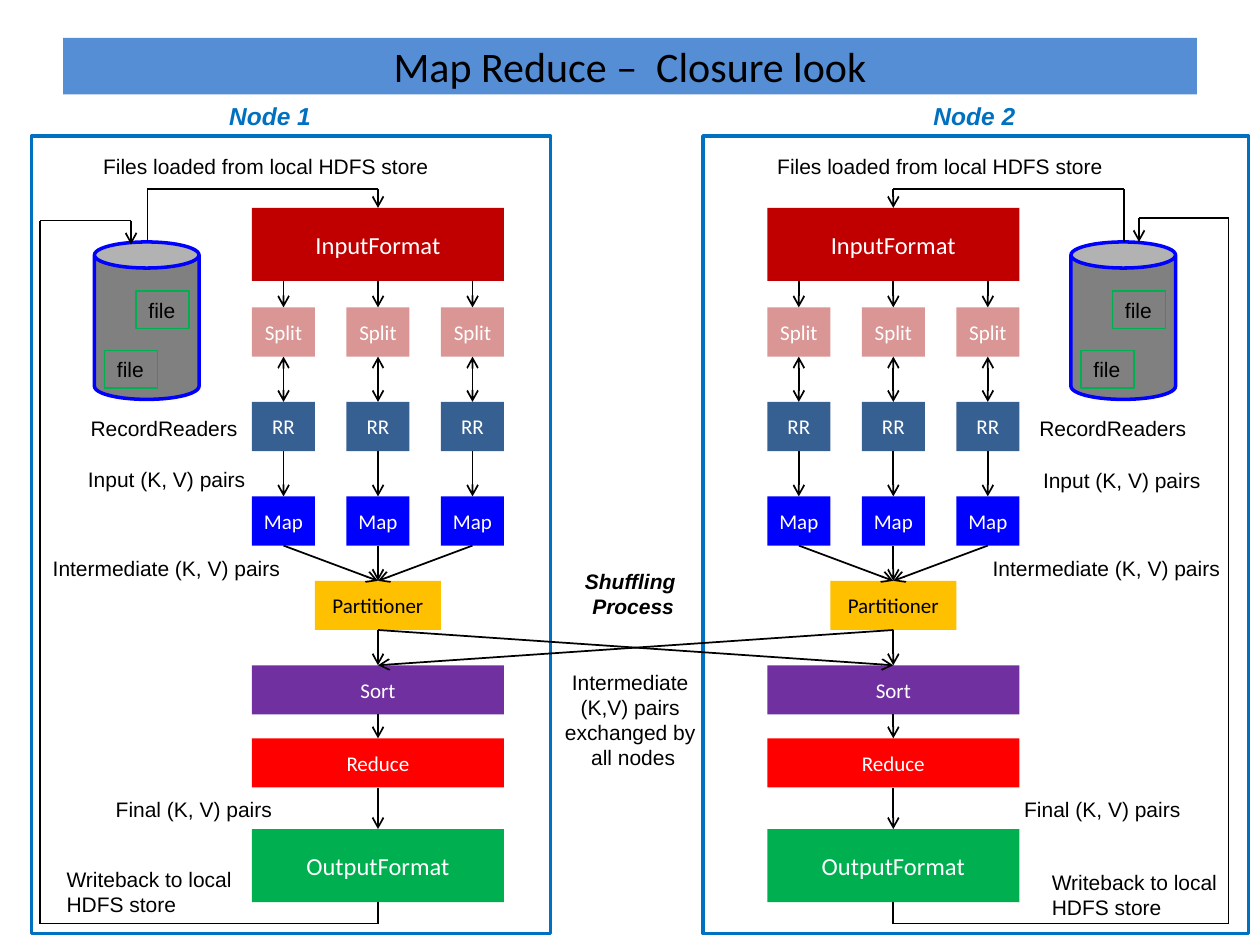
from dataclasses import dataclass

from lxml.etree import SubElement
from pptx import Presentation
from pptx.dml.color import RGBColor
from pptx.enum.shapes import MSO_CONNECTOR, MSO_SHAPE
from pptx.enum.text import MSO_ANCHOR, MSO_AUTO_SIZE, PP_ALIGN
from pptx.oxml.ns import qn
from pptx.slide import Slide
from pptx.util import Emu, Pt

PX = 9144  # EMU per px, 100 px to the inch


def px(*lengths):
    return [Emu(n * PX) for n in lengths]


def rgb(hex_color):
    return RGBColor.from_string(hex_color)


def write(p, text, size=12, font="Arial", color="000000", strong=False,
          align=PP_ALIGN.LEFT, before=0):
    """Fill one paragraph; strong means bold italic, \\v is a line break."""
    p.text = text
    p.alignment = align
    p.space_before = Pt(before)
    for r in p.runs:
        r.font.size, r.font.name = Pt(size), font
        r.font.bold = r.font.italic = strong
        r.font.color.rgb = rgb(color)


@dataclass
class Diagram:
    slide: Slide
    box_font: str = "Calibri"
    line_color: str = "000000"
    line_width: float = 1

    def title(self, text, x, y, w, h, fill):
        sp = self.slide.shapes.title
        sp.left, sp.top, sp.width, sp.height = px(x, y, w, h)
        sp.fill.solid()
        sp.fill.fore_color.rgb = rgb(fill)
        tf = sp.text_frame
        tf.auto_size = MSO_AUTO_SIZE.NONE
        tf.vertical_anchor = MSO_ANCHOR.MIDDLE
        write(tf.paragraphs[0], text, size=24, font=self.box_font, align=PP_ALIGN.CENTER)

    def shape(self, x, y, w, h, fill=None, line=None, width=1, kind=MSO_SHAPE.RECTANGLE):
        sp = self.slide.shapes.add_shape(kind, *px(x, y, w, h))
        sp.shadow.inherit = False
        if fill:
            sp.fill.solid()
            sp.fill.fore_color.rgb = rgb(fill)
        else:
            sp.fill.background()
        if line:
            sp.line.color.rgb = rgb(line)
            sp.line.width = Pt(width)
        else:
            sp.line.fill.background()
        return sp

    def box(self, text, x, y, w, h, fill, size=12, color="FFFFFF"):
        tf = self.shape(x, y, w, h, fill).text_frame
        tf.vertical_anchor = MSO_ANCHOR.MIDDLE
        tf.margin_left = tf.margin_right = 0
        write(tf.paragraphs[0], text, size=size, font=self.box_font, color=color,
              align=PP_ALIGN.CENTER)

    def fit(self, tf):
        tf.word_wrap = False
        tf.auto_size = MSO_AUTO_SIZE.SHAPE_TO_FIT_TEXT
        tf.vertical_anchor = MSO_ANCHOR.TOP

    def file(self, x, y):
        tf = self.shape(x, y, 42, 30, line="00B050", width=0.75).text_frame
        self.fit(tf)
        write(tf.paragraphs[0], "file")

    def label(self, x, y, w, h, *paragraphs, **style):
        """Each paragraph is a text and its own format on top of the style."""
        tf = self.slide.shapes.add_textbox(*px(x, y, w, h)).text_frame
        self.fit(tf)
        for i, (text, own) in enumerate(paragraphs):
            p = tf.add_paragraph() if i else tf.paragraphs[0]
            write(p, text, **{**style, **own})

    def line(self, start, end, head=False, tail=False):
        sp = self.slide.shapes.add_connector(MSO_CONNECTOR.STRAIGHT, *px(*start, *end))
        sp.line.color.rgb = rgb(self.line_color)
        sp.line.width = Pt(self.line_width)
        ln = sp.line._get_or_add_ln()
        for tag, wanted in (("a:headEnd", head), ("a:tailEnd", tail)):
            if wanted:
                SubElement(ln, qn(tag), type="arrow")
        SubElement(sp._element.spPr, qn("a:effectLst"))

    def route(self, *points):
        """Join points with straight lines; the last one carries the arrow."""
        last = len(points) - 2
        for i, (start, end) in enumerate(zip(points, points[1:])):
            self.line(start, end, tail=i == last)


BOX_H, BIG_H = 39, 58
TASKS = [("Split", 244, "D99694"), ("RR", 319, "376092"), ("Map", 394, "0000FF")]
INPUT_Y, PARTITION_Y, SORT_Y, REDUCE_Y, OUTPUT_Y = 165, 461, 528, 586, 658
LABELS = [("Files loaded from local HDFS store", 281, 30),
          ("RecordReaders", 138, 30),
          ("Input (K, V) pairs", 147, 30),
          ("Intermediate (K, V) pairs", 202, 30),
          ("Final (K, V) pairs", 145, 30),
          ("Writeback to local \vHDFS store", 157, 51)]

# left: pipeline, store: cylinder, outer/back: corner and end of the writeback route
NODES = [
    dict(name="Node 1", name_x=172, frame=(25, 412), left=200, store=75,
         outer=32, back=(104, 175, 194),
         labels=[(72, 117), (62, 325), (60, 365), (32, 436), (82, 627), (43, 683)]),
    dict(name="Node 2", name_x=731, frame=(558, 433), left=609, store=850,
         outer=975, back=(904, 173, 192),
         labels=[(607, 117), (815, 325), (818, 366), (778, 436), (803, 627), (825, 685)]),
]


def draw_node(d, name, name_x, frame, left, store, outer, back, labels):
    mid = left + 100
    columns = [left + 75 * i for i in range(3)]

    # Local store with its files
    d.shape(store, 192, 83, 125, "808080", "0000FF", 2, MSO_SHAPE.CAN)
    d.file(store + 33, 231)
    d.file(store + 8, 278)

    # Pipeline boxes
    d.box("InputFormat", left, INPUT_Y, 200, BIG_H, "C00000", size=14)
    for text, y, fill in TASKS:
        for x in columns:
            d.box(text, x, y, 50, BOX_H, fill)
    d.box("Partitioner", left + 50, PARTITION_Y, 100, BOX_H, "FFC000", color="000000")
    d.box("Sort", left, SORT_Y, 200, BOX_H, "7030A0")
    d.box("Reduce", left, REDUCE_Y, 200, BOX_H, "FF0000")
    d.box("OutputFormat", left, OUTPUT_Y, 200, BIG_H, "00B050", size=14)

    # Arrows through the three parallel tasks
    split_y, reader_y, map_y = (y for _, y, _ in TASKS)
    for x in (c + 25 for c in columns):
        d.line((x, INPUT_Y + BIG_H), (x, split_y), tail=True)
        d.line((x, split_y + BOX_H), (x, reader_y), head=True, tail=True)
        d.line((x, reader_y + BOX_H), (x, map_y), tail=True)
        d.line((x, map_y + BOX_H), (mid, PARTITION_Y), tail=True)

    # Arrows down the single-box stages
    stages = [PARTITION_Y, SORT_Y, REDUCE_Y, OUTPUT_Y]
    for y, below in zip(stages, stages[1:]):
        d.line((mid, y + BOX_H), (mid, below), tail=True)

    # Loading from and writing back to the store
    store_mid = store + 42
    d.route((store_mid, 192), (store_mid, 150), (mid, 150), (mid, INPUT_Y))
    back_x, back_y, back_end = back
    d.route((mid, OUTPUT_Y + BIG_H), (mid, 733), (outer, 733), (outer, back_y),
            (back_x, back_y), (back_x, back_end))

    # Labels, frame and name
    for (text, w, h), (x, y) in zip(LABELS, labels):
        d.label(x, y, w, h, (text, {}))
    d.shape(frame[0], 108, frame[1], 633, line="0070C0", width=2)
    d.label(name_x, 75, 85, 34, (name, {}), size=14, color="0070C0", strong=True)


def main():
    prs = Presentation()
    prs.slide_width, prs.slide_height = px(1000, 750)
    d = Diagram(prs.slides.add_slide(prs.slide_layouts[5]))
    d.title("Map Reduce –  Closure look", 50, 30, 900, 45, "558ED5")
    for node in NODES:
        draw_node(d, **node)

    # Exchange between the nodes
    mids = [node["left"] + 100 for node in NODES]
    for start, end in (mids, mids[::-1]):
        d.line((start, PARTITION_Y + BOX_H), (end, SORT_Y), tail=True)
    strong = dict(strong=True)
    d.label(438, 446, 129, 172, ("Shuffling ", strong), ("Process", strong),
            ("Intermediate ", dict(before=29)), ("(K,V) pairs ", {}),
            ("exchanged by ", {}), ("all nodes", {}), align=PP_ALIGN.CENTER)

    prs.save("out.pptx")


if __name__ == "__main__":
    main()
